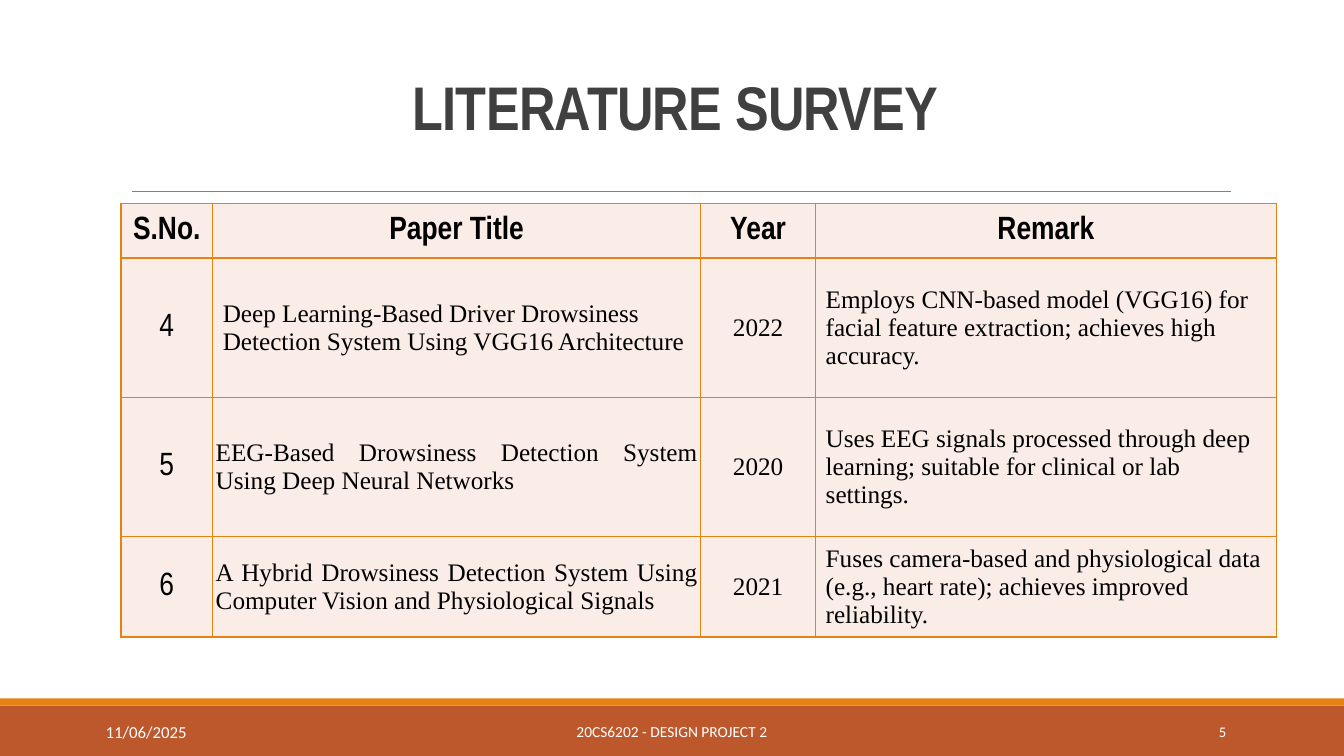
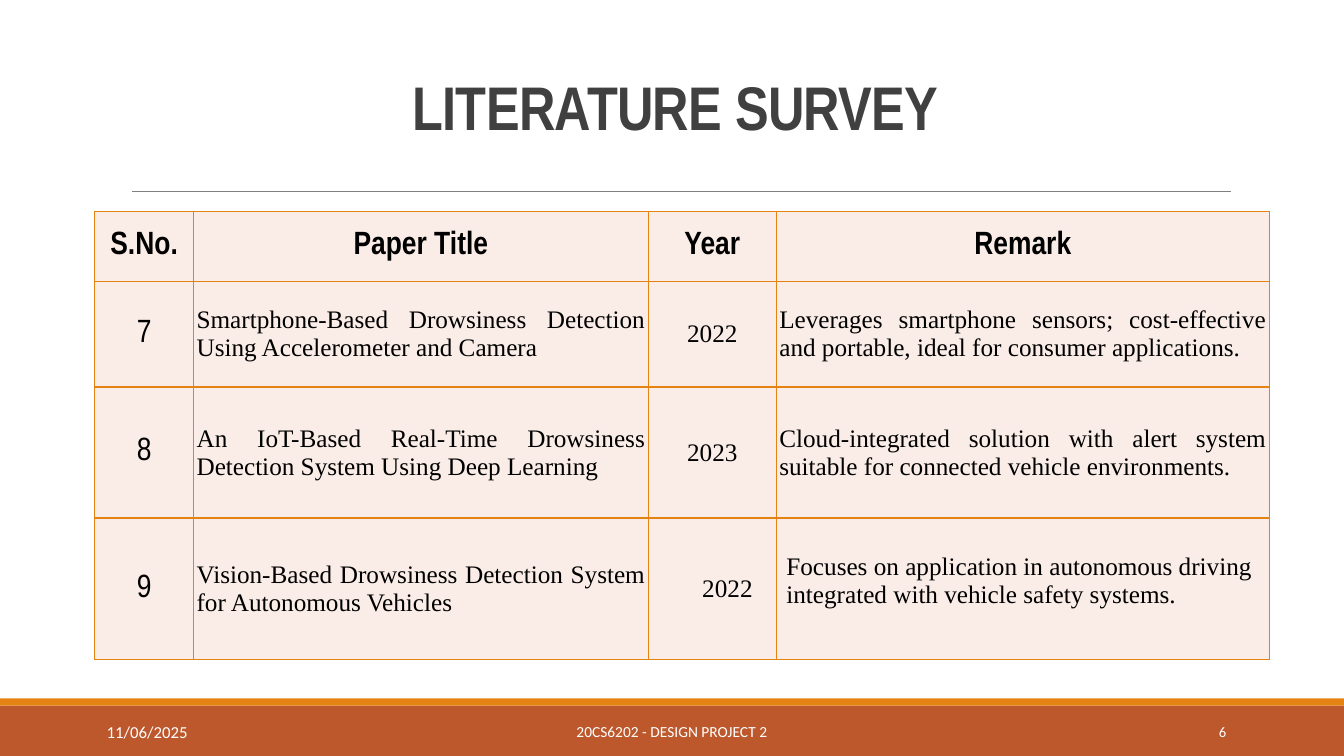
from dataclasses import dataclass

from lxml.etree import SubElement
from pptx import Presentation
from pptx.dml.color import RGBColor
from pptx.enum.shapes import MSO_CONNECTOR, MSO_SHAPE
from pptx.enum.text import MSO_ANCHOR, MSO_AUTO_SIZE, PP_ALIGN
from pptx.oxml.ns import qn
from pptx.slide import Slide
from pptx.table import _Cell as Cell
from pptx.text.text import TextFrame
from pptx.util import Inches, Pt


@dataclass(frozen=True)
class Font:
    name: str
    size: float
    color: str
    bold: bool = False


@dataclass(frozen=True)
class Theme:
    band: str = "BD582C"
    strip: str = "E48312"
    rule: str = "808080"
    cell: str = "FAEDE7"
    title: Font = Font("Arial Narrow", 44, "404040", True)
    head: Font = Font("Arial Narrow", 23, "000000", True)
    number: Font = Font("Arial Narrow", 23, "000000")
    body: Font = Font("Times New Roman", 18, "000000")
    footer: Font = Font("Calibri", 11, "FFFFFF")
    page: Font = Font("Calibri", 10.5, "FFFFFF")
    date: Font = Font("Calibri", 12, "FFFFFF")


@dataclass(frozen=True)
class Box:
    left: float
    top: float
    width: float
    height: float

    def emu(self) -> tuple:
        return tuple(Inches(v) for v in (self.left, self.top, self.width, self.height))


@dataclass(frozen=True)
class Fit:
    """Alignment of a cell's text and its left, top, right and bottom margins."""
    align: PP_ALIGN
    pad: tuple[float, float, float, float] = (0.03, 0.02, 0.03, 0.02)


THEME = Theme()
MID = Fit(PP_ALIGN.CENTER)
FULL = Fit(PP_ALIGN.JUSTIFY)
LOOSE = Fit(PP_ALIGN.LEFT, (0.1, 0.05, 0.1, 0.05))
RAISED = Fit(PP_ALIGN.LEFT, (0.1, 0.05, 0.1, 0.2))
SHIFTED = Fit(PP_ALIGN.CENTER, (0.33, 0.02, 0.03, 0.02))
HEADS = ("S.No.", "Paper Title", "Year", "Remark")


@dataclass(frozen=True)
class Paper:
    number: int
    title: str
    year: int
    remark: str
    title_fit: Fit = FULL
    year_fit: Fit = MID
    remark_fit: Fit = FULL


@dataclass(frozen=True)
class Survey:
    page: int
    left: float
    top: float
    cols: tuple[float, ...]
    rows: tuple[float, ...]
    papers: tuple[Paper, ...]
    date_left: float


SURVEYS = (
    Survey(5, 1.2, 2.02, (0.91, 4.84, 1.14, 4.57), (0.54, 1.38, 1.38, 0.93), (
        Paper(4, "Deep Learning-Based Driver Drowsiness Detection System Using VGG16 Architecture", 2022,
              "Employs CNN-based model (VGG16) for facial feature extraction; achieves high accuracy.",
              title_fit=LOOSE, remark_fit=LOOSE),
        Paper(5, "EEG-Based Drowsiness Detection System Using Deep Neural Networks", 2020,
              "Uses EEG signals processed through deep learning; suitable for clinical or lab settings.",
              remark_fit=LOOSE),
        Paper(6, "A Hybrid Drowsiness Detection System Using Computer Vision and Physiological Signals", 2021,
              "Fuses camera-based and physiological data (e.g., heart rate); achieves improved reliability.",
              remark_fit=LOOSE),
    ), 0.95),
    Survey(6, 0.94, 2.1, (0.98, 4.51, 1.27, 4.89), (0.69, 1.05, 1.3, 1.4), (
        Paper(7, "Smartphone-Based Drowsiness Detection Using Accelerometer and Camera", 2022,
              "Leverages smartphone sensors; cost-effective and portable, ideal for consumer applications."),
        Paper(8, "An IoT-Based Real-Time Drowsiness Detection System Using Deep Learning", 2023,
              "Cloud-integrated solution with alert system suitable for connected vehicle environments."),
        Paper(9, "Vision-Based Drowsiness Detection System for Autonomous Vehicles", 2022,
              "Focuses on application in autonomous driving integrated with vehicle safety systems.",
              year_fit=SHIFTED, remark_fit=RAISED),
    ), 0.96),
)


def rgb(color: str) -> RGBColor:
    return RGBColor.from_string(color)


def write(frame: TextFrame, text: str, font: Font, align: PP_ALIGN) -> None:
    frame.text = text
    frame.word_wrap = True
    for para in frame.paragraphs:
        para.alignment = align
        for run in para.runs:
            run.font.name = font.name
            run.font.size = Pt(font.size)
            run.font.bold = font.bold
            run.font.color.rgb = rgb(font.color)


def add_band(slide: Slide, box: Box, color: str) -> None:
    band = slide.shapes.add_shape(MSO_SHAPE.RECTANGLE, *box.emu())
    band.shadow.inherit = False
    band.fill.solid()
    band.fill.fore_color.rgb = rgb(color)
    band.line.fill.background()


def add_rule(slide: Slide) -> None:
    rule = slide.shapes.add_connector(
        MSO_CONNECTOR.STRAIGHT, Inches(1.31), Inches(1.9), Inches(12.21), Inches(1.9))
    rule.line.color.rgb = rgb(THEME.rule)
    rule.line.width = Pt(0.5)
    SubElement(rule._element.spPr, qn("a:effectLst"))


def add_title(slide: Slide) -> None:
    title = slide.shapes.title
    title.left, title.top, title.width, title.height = Box(1.2, 0.31, 11, 1.59).emu()
    frame = title.text_frame
    write(frame, "LITERATURE SURVEY", THEME.title, PP_ALIGN.CENTER)
    frame.auto_size = MSO_AUTO_SIZE.NONE
    frame.vertical_anchor = MSO_ANCHOR.MIDDLE
    para = frame.paragraphs[0]
    para.line_spacing = 0.85
    para.runs[0]._r.get_or_add_rPr().set("spc", "-50")


def add_note(slide: Slide, box: Box, text: str, font: Font, align: PP_ALIGN,
             anchor: MSO_ANCHOR = MSO_ANCHOR.MIDDLE) -> None:
    frame = slide.shapes.add_textbox(*box.emu()).text_frame
    write(frame, text, font, align)
    frame.vertical_anchor = anchor


def add_edges(cell: Cell) -> None:
    props = cell._tc.get_or_add_tcPr()
    for side in "LRTB":
        edge = SubElement(props, qn(f"a:ln{side}"), w=str(Pt(1)))
        fill = SubElement(edge, qn("a:solidFill"))
        SubElement(fill, qn("a:srgbClr"), val=THEME.strip)


def fill_cell(cell: Cell, text: str, font: Font, fit: Fit) -> None:
    add_edges(cell)
    cell.fill.solid()
    cell.fill.fore_color.rgb = rgb(THEME.cell)
    cell.vertical_anchor = MSO_ANCHOR.MIDDLE
    (cell.margin_left, cell.margin_top,
     cell.margin_right, cell.margin_bottom) = (Inches(v) for v in fit.pad)
    write(cell.text_frame, text, font, fit.align)


def add_papers(slide: Slide, survey: Survey) -> None:
    box = Box(survey.left, survey.top, sum(survey.cols), sum(survey.rows))
    table = slide.shapes.add_table(len(survey.rows), len(survey.cols), *box.emu()).table
    table.first_row = table.horz_banding = False
    for col, width in zip(table.columns, survey.cols):
        col.width = Inches(width)
    for row, height in zip(table.rows, survey.rows):
        row.height = Inches(height)
    for col, head in enumerate(HEADS):
        fill_cell(table.cell(0, col), head, THEME.head, MID)
    for row, paper in enumerate(survey.papers, 1):
        fill_cell(table.cell(row, 0), str(paper.number), THEME.number, MID)
        fill_cell(table.cell(row, 1), paper.title, THEME.body, paper.title_fit)
        fill_cell(table.cell(row, 2), str(paper.year), THEME.body, paper.year_fit)
        fill_cell(table.cell(row, 3), paper.remark, THEME.body, paper.remark_fit)


def add_frame(slide: Slide, survey: Survey) -> None:
    """Draw the bands, rule, title and footer that every slide shares."""
    add_band(slide, Box(0, 7, 13.33, 0.5), THEME.band)
    add_band(slide, Box(0, 6.93, 13.33, 0.07), THEME.strip)
    add_rule(slide)
    add_title(slide)
    add_note(slide, Box(4.03, 7.06, 5.27, 0.4), "20CS6202 - DESIGN PROJECT 2",
             THEME.footer, PP_ALIGN.CENTER)
    add_note(slide, Box(10.83, 7.06, 1.43, 0.4), str(survey.page), THEME.page, PP_ALIGN.RIGHT)
    add_note(slide, Box(survey.date_left, 7.11, 2.59, 0.39), "11/06/2025",
             THEME.date, PP_ALIGN.LEFT, MSO_ANCHOR.TOP)


def main() -> None:
    deck = Presentation()
    deck.slide_width, deck.slide_height = Inches(13.33), Inches(7.5)
    for survey in SURVEYS:
        slide = deck.slides.add_slide(deck.slide_layouts[5])
        add_frame(slide, survey)
        add_papers(slide, survey)
    deck.save("out.pptx")


if __name__ == "__main__":
    main()
